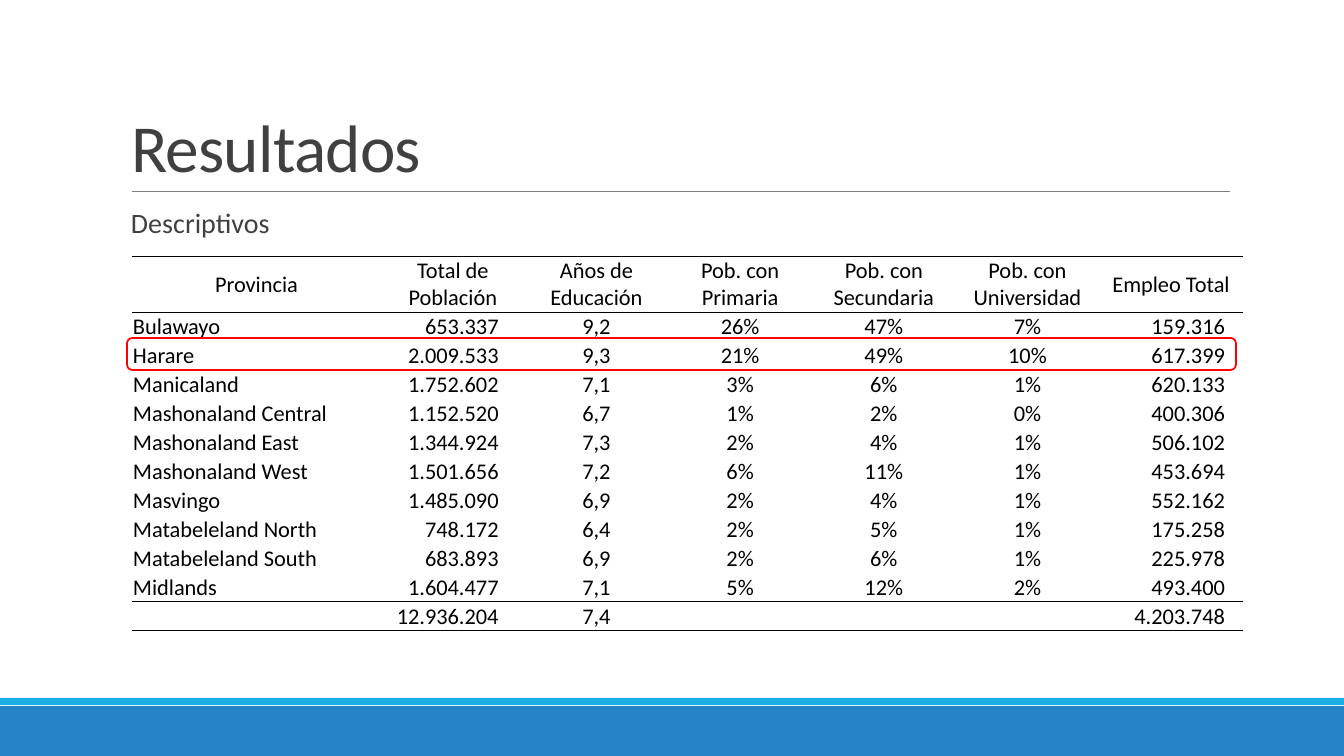
from lxml import etree
from pptx import Presentation, util as u
from pptx.dml.color import RGBColor
from pptx.enum import shapes, text
from pptx.oxml.ns import qn

SLIDE_W, SLIDE_H = 1344, 756
SCALE = 12192000 / SLIDE_W
FONT = "Calibri"
COLORS = {
    "band": "2683C6", "stripe": "1CADE4", "rule": "808080",
    "heading": "404040", "table": "000000", "highlight": "FF0000",
}
LEFT, CENTER, RIGHT = text.PP_ALIGN.LEFT, text.PP_ALIGN.CENTER, text.PP_ALIGN.RIGHT

TABLE_W, PROVINCE_W = 1111, 249
HEADER_H, ROW_H = 56, 29
ALIGNS = [LEFT, RIGHT, CENTER, CENTER, CENTER, CENTER, RIGHT]
RIGHT_INSETS = [1, 26, 1, 1, 1, 1, 18]
ROWS = [
    ["Provincia", "Total de Población", "Años de Educación", "Pob. con Primaria",
     "Pob. con Secundaria", "Pob. con Universidad", "Empleo Total"],
    ["Bulawayo", "653.337", "9,2", "26%", "47%", "7%", "159.316"],
    ["Harare", "2.009.533", "9,3", "21%", "49%", "10%", "617.399"],
    ["Manicaland", "1.752.602", "7,1", "3%", "6%", "1%", "620.133"],
    ["Mashonaland Central", "1.152.520", "6,7", "1%", "2%", "0%", "400.306"],
    ["Mashonaland East", "1.344.924", "7,3", "2%", "4%", "1%", "506.102"],
    ["Mashonaland West", "1.501.656", "7,2", "6%", "11%", "1%", "453.694"],
    ["Masvingo", "1.485.090", "6,9", "2%", "4%", "1%", "552.162"],
    ["Matabeleland North", "748.172", "6,4", "2%", "5%", "1%", "175.258"],
    ["Matabeleland South", "683.893", "6,9", "2%", "6%", "1%", "225.978"],
    ["Midlands", "1.604.477", "7,1", "5%", "12%", "2%", "493.400"],
    ["", "12.936.204", "7,4", "", "", "", "4.203.748"],
]


def px(n):
    return u.Emu(round(n * SCALE))


def rgb(name):
    return RGBColor.from_string(COLORS[name])


def style_runs(p, size, color):
    for r in p.runs:
        r.font.name = FONT
        r.font.size = u.Pt(size)
        r.font.color.rgb = rgb(color)


def fill_placeholder(sp, box, content, size, anchor):
    """Move a placeholder and give it one left-aligned paragraph."""
    sp.left, sp.top, sp.width, sp.height = map(px, box)
    tf = sp.text_frame
    tf.text = content
    tf.auto_size = text.MSO_AUTO_SIZE.NONE
    tf.vertical_anchor = anchor
    p = tf.paragraphs[0]
    p.alignment = LEFT
    style_runs(p, size, "heading")
    return p


def add_title(slide):
    p = fill_placeholder(slide.shapes.title, (121, 31, 1109, 160), "Resultados", 48,
                         text.MSO_ANCHOR.BOTTOM)
    p.line_spacing = 0.85
    p.runs[0].font._element.set("spc", "-50")


def add_subtitle(slide):
    sp = slide.placeholders[1]
    p = fill_placeholder(sp, (121, 204, 1109, 444), "Descriptivos", 20,
                         text.MSO_ANCHOR.TOP)
    sp.text_frame.margin_left = sp.text_frame.margin_right = 0
    p.line_spacing = 0.9
    p.space_before, p.space_after = u.Pt(12), u.Pt(2)
    pPr = p._p.get_or_add_pPr()
    pPr.set("marL", str(px(10)))
    pPr.set("indent", "0")
    etree.SubElement(pPr, qn("a:buNone"))


def add_bar(slide, top, height, color):
    sp = slide.shapes.add_shape(shapes.MSO_SHAPE.RECTANGLE, 0, px(top),
                                px(SLIDE_W), px(height))
    sp.shadow.inherit = False
    sp.fill.solid()
    sp.fill.fore_color.rgb = rgb(color)
    sp.line.fill.background()


def add_rule(slide, left, right, y):
    line = slide.shapes.add_connector(shapes.MSO_CONNECTOR.STRAIGHT,
                                      px(left), px(y), px(right), px(y))
    line.line.color.rgb = rgb("rule")
    line.line.width = u.Pt(0.5)
    etree.SubElement(line._element.spPr, qn("a:effectLst"))


def add_cell_rules(cell):
    """Draw thin lines above and below a cell."""
    tcPr = cell._tc.get_or_add_tcPr()
    for i, tag in enumerate(("a:lnT", "a:lnB")):
        ln = etree.Element(qn(tag), w=str(u.Pt(0.5)))
        fill = etree.SubElement(ln, qn("a:solidFill"))
        etree.SubElement(fill, qn("a:srgbClr"), val=COLORS["table"])
        tcPr.insert(i, ln)


def fill_cell(cell, content, align, anchor, right_inset):
    cell.fill.background()
    cell.margin_left = cell.margin_top = px(1)
    cell.margin_right, cell.margin_bottom = px(right_inset), 0
    cell.vertical_anchor = anchor
    p = cell.text_frame.paragraphs[0]
    p.text = content
    p.alignment = align
    style_runs(p, 16, "table")
    if not content:
        p._p.get_or_add_endParaRPr().set("sz", "1600")


def add_province_table(slide, left, top):
    n_rows, n_cols = len(ROWS), len(ROWS[0])
    height = HEADER_H + ROW_H * (n_rows - 1)
    frame = slide.shapes.add_table(n_rows, n_cols, px(left), px(top),
                                   px(TABLE_W), px(height))
    table = frame.table
    table.first_row = table.horz_banding = False
    no_grid = "{2D5ABB26-0587-4C30-8999-92F81FD0307C}"
    table._tbl.tblPr.find(qn("a:tableStyleId")).text = no_grid
    figure_w = (TABLE_W - PROVINCE_W) / (n_cols - 1)
    for c, col in enumerate(table.columns):
        col.width = px(figure_w if c else PROVINCE_W)
    for r, values in enumerate(ROWS):
        header = r == 0
        table.rows[r].height = px(HEADER_H if header else ROW_H)
        anchor = text.MSO_ANCHOR.MIDDLE if header else text.MSO_ANCHOR.BOTTOM
        for c, value in enumerate(values):
            cell = table.cell(r, c)
            fill_cell(cell, value, CENTER if header else ALIGNS[c], anchor,
                      1 if header else RIGHT_INSETS[c])
            if r in (0, n_rows - 1):
                add_cell_rules(cell)


def add_highlight(slide, *box):
    sp = slide.shapes.add_shape(shapes.MSO_SHAPE.ROUNDED_RECTANGLE, *map(px, box))
    sp.shadow.inherit = False
    sp.fill.background()
    sp.line.color.rgb = rgb("highlight")
    sp.line.width = u.Pt(1.25)


def main():
    prs = Presentation()
    prs.slide_width, prs.slide_height = px(SLIDE_W), px(SLIDE_H)
    slide = prs.slides.add_slide(prs.slide_layouts[1])
    add_bar(slide, 706, 50, "band")
    add_bar(slide, 698, 7, "stripe")
    add_rule(slide, 132, 1230, 191)
    add_title(slide)
    add_subtitle(slide)
    add_province_table(slide, 132, 256)
    add_highlight(slide, 127, 338, 1109, 32)
    prs.save("out.pptx")


if __name__ == "__main__":
    main()
